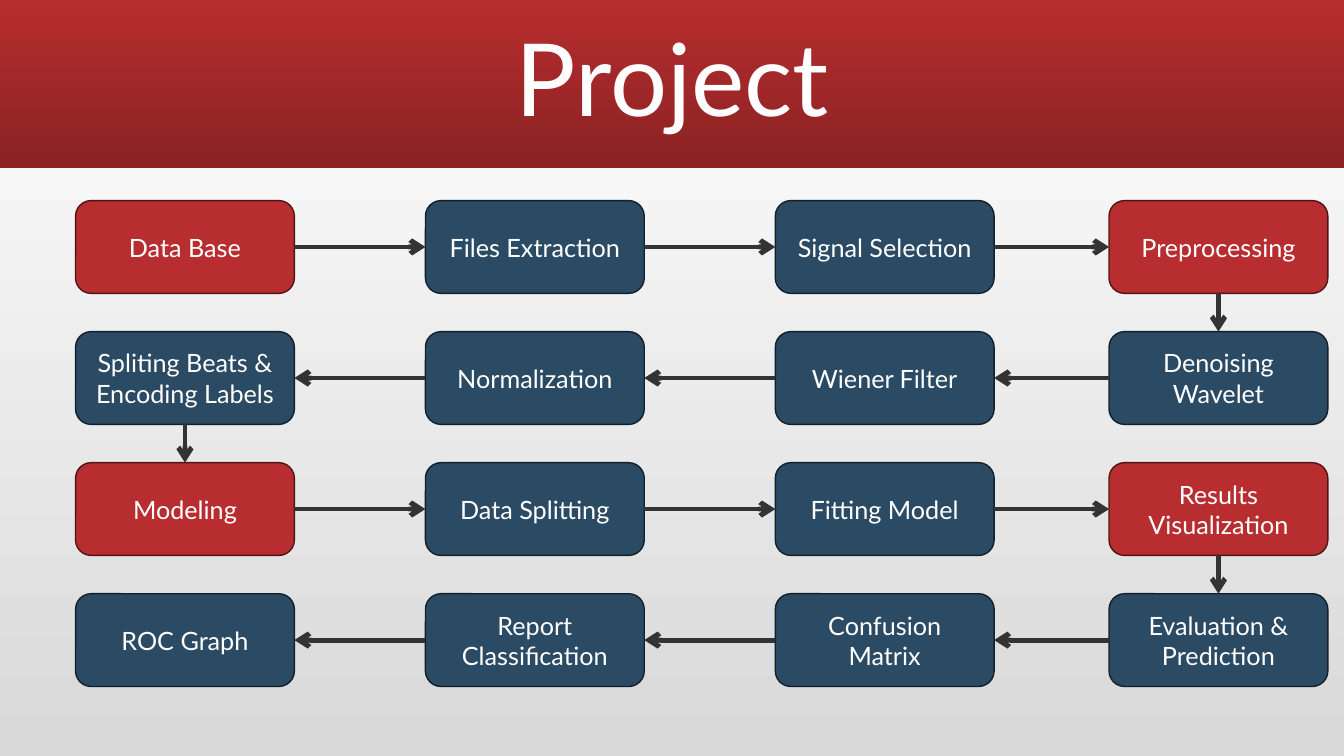
from dataclasses import dataclass
from lxml.etree import SubElement
from pptx import Presentation
from pptx.dml.color import RGBColor
from pptx.enum.shapes import MSO_CONNECTOR, MSO_SHAPE
from pptx.enum.text import MSO_ANCHOR, PP_ALIGN
from pptx.oxml.ns import qn
from pptx.util import Emu, Pt


@dataclass
class Theme:
    font: str = "Lato"
    title_size: int = 72
    box_size: int = 18
    white: str = "FFFFFF"
    gray: str = "D9D9D9"
    red: str = "B82D2F"
    dark_red: str = "8A2223"
    red_line: str = "511415"
    blue: str = "2B4A63"
    blue_line: str = "13202B"
    arrow: str = "333333"


theme = Theme()
PX = Emu(9144)


def set_text(shape, text, size, spacing=1.0):
    tf = shape.text_frame
    tf.word_wrap = True
    tf.vertical_anchor = MSO_ANCHOR.MIDDLE
    p = tf.paragraphs[0]
    p.alignment = PP_ALIGN.CENTER
    p.line_spacing = spacing
    r = p.add_run()
    r.text = text
    r.font.size = Pt(size)
    r.font.name = theme.font
    r.font.color.rgb = RGBColor.from_string(theme.white)


def set_gradient(fill, colors, angle):
    fill.gradient()
    fill.gradient_angle = angle
    for stop, color in zip(fill.gradient_stops, colors):
        stop.color.rgb = RGBColor.from_string(color)
    fill.gradient_stops[0].position = 0
    fill.gradient_stops[1].position = 1


prs = Presentation()
prs.slide_width = 1333 * PX
prs.slide_height = 750 * PX
s = prs.slides.add_slide(prs.slide_layouts[6])
set_gradient(s.background.fill, (theme.gray, theme.white), 90)

header = s.shapes.add_shape(MSO_SHAPE.RECTANGLE, 0, 0, 1333 * PX, 167 * PX)
header.shadow.inherit = False
header.line.fill.background()
set_gradient(header.fill, (theme.red, theme.dark_red), 270)

title = s.shapes.add_textbox(117 * PX, 11 * PX, 1100 * PX, 145 * PX)
set_text(title, "Project", theme.title_size, spacing=0.9)

columns = (75, 422, 769, 1100)
top, row_step = 199, 130
box_w, box_h = 217, 92
rows = (
    ("Data Base", "Files Extraction", "Signal Selection", "Preprocessing"),
    ("Spliting Beats & Encoding Labels", "Normalization", "Wiener Filter", "Denoising Wavelet"),
    ("Modeling", "Data Splitting", "Fitting Model", "Results Visualization"),
    ("ROC Graph", "Report Classification", "Confusion Matrix", "Evaluation & Prediction"),
)
stages = {"Data Base", "Preprocessing", "Modeling", "Results Visualization"}

flow = []
for i, labels in enumerate(rows):
    boxes = []
    for x, label in zip(columns, labels):
        sp = s.shapes.add_shape(
            MSO_SHAPE.ROUNDED_RECTANGLE,
            x * PX, (top + i * row_step) * PX, box_w * PX, box_h * PX,
        )
        fill, line = (theme.red, theme.red_line) if label in stages else (theme.blue, theme.blue_line)
        sp.shadow.inherit = False
        sp.fill.solid()
        sp.fill.fore_color.rgb = RGBColor.from_string(fill)
        sp.line.color.rgb = RGBColor.from_string(line)
        sp.line.width = Pt(1)
        set_text(sp, label, theme.box_size)
        boxes.append(sp)
    flow += boxes if i % 2 == 0 else boxes[::-1]

for a, b in zip(flow, flow[1:]):
    if a.left == b.left:
        start, end = 2, 0
    elif a.left < b.left:
        start, end = 3, 1
    else:
        start, end = 1, 3
    cxn = s.shapes.add_connector(MSO_CONNECTOR.STRAIGHT, 0, 0, 0, 0)
    cxn.begin_connect(a, start)
    cxn.end_connect(b, end)
    cxn.line.color.rgb = RGBColor.from_string(theme.arrow)
    cxn.line.width = Pt(3.5)
    SubElement(cxn.line._get_or_add_ln(), qn("a:tailEnd"), type="arrow")
    SubElement(cxn._element.spPr, qn("a:effectLst"))

prs.save("out.pptx")
